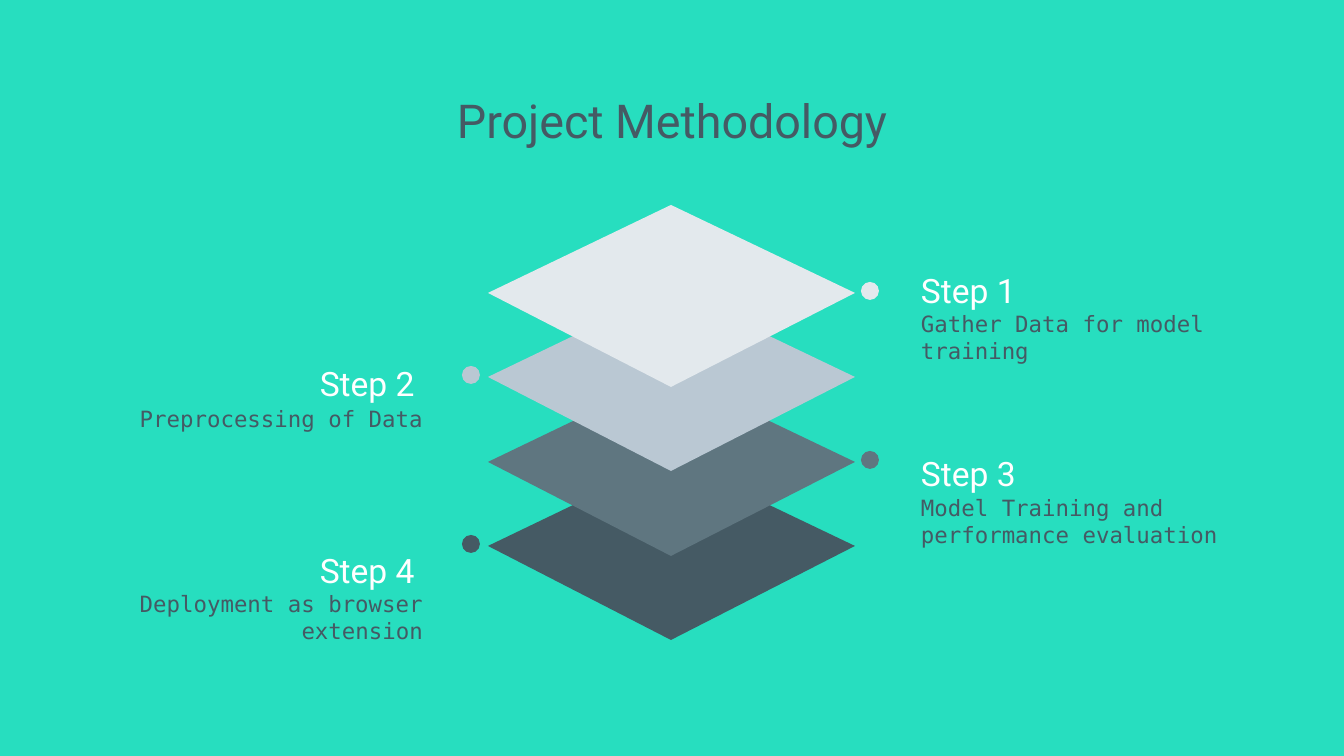
from pptx import Presentation
from pptx.dml.color import RGBColor
from pptx.enum.shapes import MSO_SHAPE as Shape
from pptx.enum.text import MSO_ANCHOR as Anchor, MSO_AUTO_SIZE as AutoSize, PP_ALIGN as Align
from pptx.util import Pt

TEAL = RGBColor(0x27, 0xDE, 0xBF)
WHITE = RGBColor(0xFF, 0xFF, 0xFF)
SLATE = RGBColor(0x45, 0x5A, 0x64)
STEEL = RGBColor(0x5F, 0x76, 0x80)
MIST = RGBColor(0xBA, 0xC8, 0xD3)
PEARL = RGBColor(0xE3, 0xE9, 0xED)

TITLE = "Project Methodology"
STEPS = [
    ("Step 1", "Gather Data for model training", PEARL, "right", 251, 297),
    ("Step 2 ", "Preprocessing of Data", MIST, "left", 344, 392),
    ("Step 3", "Model Training and performance evaluation", STEEL, "right", 434, 481),
    ("Step 4 ", "Deployment as browser extension", SLATE, "left", 531, 577),
]
SIDES = {
    "left": {"text": 105, "dot": 462, "align": Align.RIGHT},
    "right": {"text": 908, "dot": 861, "align": Align.LEFT},
}
TITLE_FONT = {"name": "Roboto", "size": Pt(25), "bold": False}
LABEL_FONT = {"name": "Roboto", "size": Pt(18)}
DETAIL_FONT = {"name": "DejaVu Sans Mono", "size": Pt(12)}
LABEL_SPACING = {"line_spacing": 1.15, "space_before": Pt(1), "space_after": Pt(12)}

SCALE = 914400 / 134.4
WIDTH, HEIGHT = 1344, 756
STACK_TOP, DOUBLE_PITCH = 205, 169
DIAMOND = [(671, 0), (488, 88), (671, 182), (855, 88)]
DOT_SIZE, DOT_DROP = 18, 77
TEXT_WIDTH, LABEL_HEIGHT, DETAIL_HEIGHT = 331, 54, 79
INSET = 13


def px(*lengths):
    return [round(length * SCALE) for length in lengths]


def apply(target, values):
    for name, value in values.items():
        setattr(target, name, value)


def write(box, text, font, color, align, spacing):
    inset = px(INSET)[0]
    frame = box.text_frame
    apply(frame, {
        "word_wrap": True, "auto_size": AutoSize.NONE, "vertical_anchor": Anchor.TOP,
        "margin_left": inset, "margin_right": inset,
        "margin_top": inset, "margin_bottom": inset,
    })
    para = frame.paragraphs[0]
    apply(para, {"alignment": align, **spacing})
    span = para.add_run()
    span.text = text
    apply(span.font, font)
    span.font.color.rgb = color


def paint(shape, color):
    shape.shadow.inherit = False
    shape.fill.solid()
    shape.fill.fore_color.rgb = color
    shape.line.fill.background()


def add_layer(page, index, color, side):
    top = STACK_TOP + DOUBLE_PITCH * index // 2
    corners = [(x, top + y) for x, y in DIAMOND]
    outline = page.shapes.build_freeform(*corners[0], scale=SCALE)
    outline.add_line_segments(corners[1:], close=True)
    paint(outline.convert_to_shape(), color)
    dot = page.shapes.add_shape(
        Shape.OVAL, *px(SIDES[side]["dot"], top + DOT_DROP, DOT_SIZE, DOT_SIZE))
    paint(dot, color)


def add_text(page, side, top, height, text, font, color, spacing):
    box = page.shapes.add_textbox(*px(SIDES[side]["text"], top, TEXT_WIDTH, height))
    write(box, text, font, color, SIDES[side]["align"], spacing)


def main():
    deck = Presentation()
    deck.slide_width, deck.slide_height = px(WIDTH, HEIGHT)
    page = deck.slides.add_slide(deck.slide_layouts[5])
    page.background.fill.solid()
    page.background.fill.fore_color.rgb = TEAL

    title = page.shapes.title
    title.left, title.top, title.width, title.height = px(105, 79, 1134, 79)
    write(title, TITLE, TITLE_FONT, SLATE, Align.CENTER, {})

    for index, (_, _, color, side, _, _) in reversed(list(enumerate(STEPS))):
        add_layer(page, index, color, side)
    for label, detail, _, side, label_top, detail_top in STEPS:
        add_text(page, side, detail_top, DETAIL_HEIGHT, detail, DETAIL_FONT, SLATE, {})
        add_text(page, side, label_top, LABEL_HEIGHT, label, LABEL_FONT, WHITE, LABEL_SPACING)

    deck.save("out.pptx")


if __name__ == "__main__":
    main()
